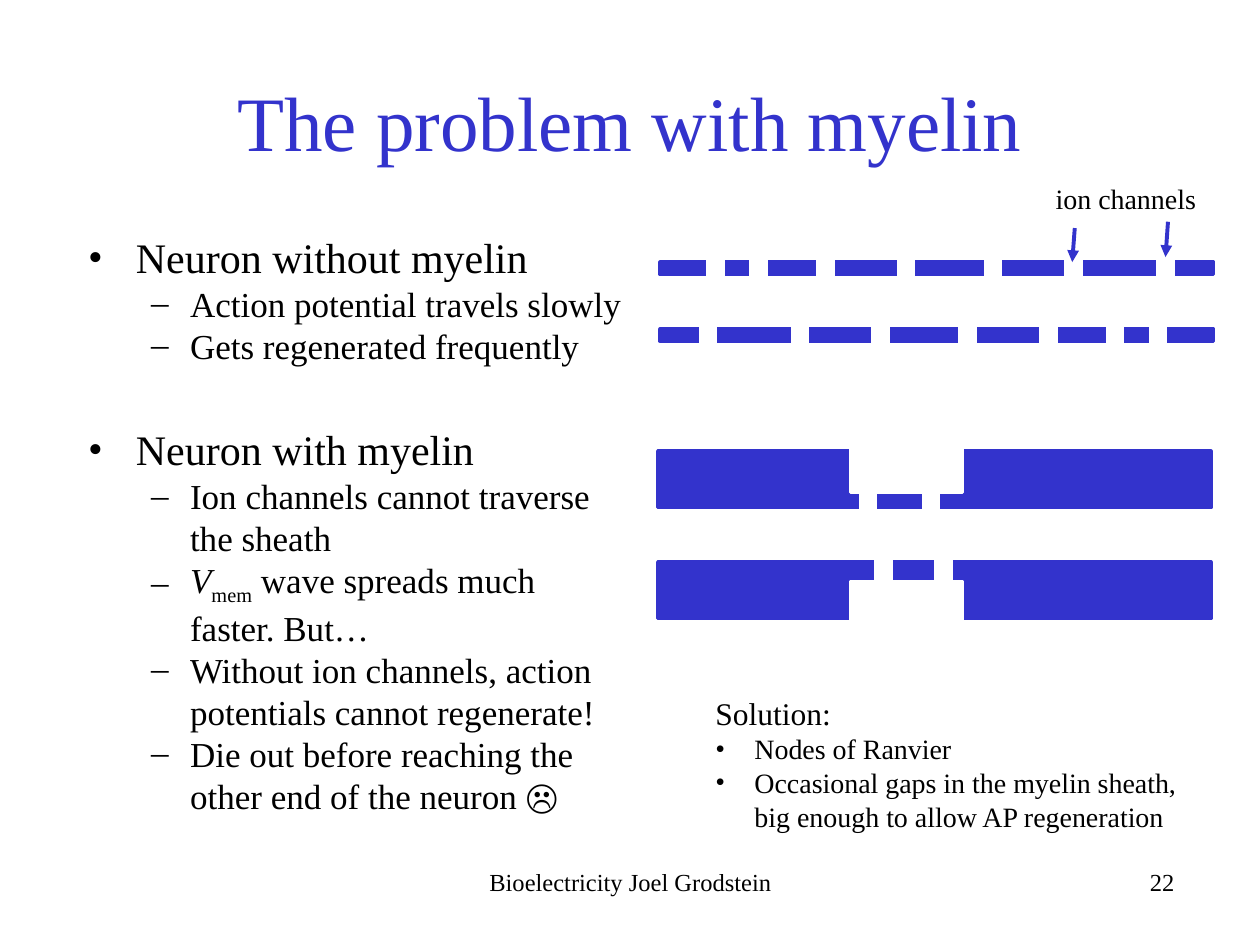
from dataclasses import dataclass

from lxml.etree import SubElement
from pptx import Presentation
from pptx.dml.color import RGBColor as Color
from pptx.enum.shapes import MSO_CONNECTOR as Connector, MSO_SHAPE as Shape
from pptx.enum.text import MSO_ANCHOR as Anchor, PP_ALIGN as Align
from pptx.oxml.ns import qn
from pptx.util import Inches, Pt


@dataclass(frozen=True)
class Theme:
    font: str = "Times New Roman"
    text: Color = Color(0, 0, 0)
    accent: Color = Color(0x33, 0x33, 0xCC)
    paper: Color = Color(255, 255, 255)
    title: int = 44
    heading: int = 24
    point: int = 20
    solution: int = 18
    label: int = 16
    footer: int = 14


THEME = Theme()
COLUMNS, ROWS = 100, 75
WIDTH, HEIGHT = Inches(10), Inches(7.5)
GAP_WIDTH, GAP_HEIGHT = 1.2, 1.9
MEMBRANE_LEFT, MEMBRANE_WIDTH = 52.4, 43.9
SHEATH_LEFT, SHEATH_HEIGHT = 52.2, 4.5
CHANNEL_GAPS = (56.2, 59.6, 64.9, 71.3, 78.2, 84.6, 91.9)


def across(columns):
    return round(WIDTH * columns / COLUMNS)


def down(rows):
    return round(HEIGHT * rows / ROWS)


def place(left, top, width, height):
    return across(left), down(top), across(width), down(height)


def add_text(slide, box, lines, size, align=Align.LEFT, color=THEME.text, anchor=Anchor.TOP):
    frame = slide.shapes.add_textbox(*place(*box)).text_frame
    frame.word_wrap = True
    frame.vertical_anchor = anchor
    frame.text = "\n".join(lines)
    for paragraph in frame.paragraphs:
        paragraph.alignment = align
        style_runs(paragraph, size, color)
    return frame.paragraphs


def style_runs(paragraph, size, color=THEME.text):
    for run in paragraph.runs:
        run.font.name = THEME.font
        run.font.size = Pt(size)
        run.font.color.rgb = color


def set_bullet(paragraph, character, margin, hanging):
    properties = paragraph._p.get_or_add_pPr()
    properties.set("marL", str(Inches(margin)))
    properties.set("indent", str(-Inches(hanging)))
    SubElement(properties, qn("a:buFont")).set("typeface", THEME.font)
    SubElement(properties, qn("a:buChar")).set("char", character)


def add_block(shapes, box, color):
    block = shapes.add_shape(Shape.RECTANGLE, *place(*box))
    block.shadow.inherit = False
    block.fill.solid()
    block.fill.fore_color.rgb = color
    block.line.color.rgb = color
    block.line.width = Pt(2)


def add_gap(shapes, left, top):
    add_block(shapes, (left, top, GAP_WIDTH, GAP_HEIGHT), THEME.paper)


def add_membrane(slide, top, gaps):
    shapes = slide.shapes.add_group_shape().shapes
    add_block(shapes, (MEMBRANE_LEFT, top, MEMBRANE_WIDTH, 1), THEME.accent)
    for left in gaps:
        add_gap(shapes, left, top - 0.45)


def add_myelinated_neuron(slide):
    for top in (35.8, 44.6):
        add_block(slide.shapes, (SHEATH_LEFT, top, MEMBRANE_WIDTH, SHEATH_HEIGHT), THEME.accent)
    node = slide.shapes.add_group_shape().shapes
    for top in (33.8, 46.2):
        add_block(node, (67.5, top, 8.9, 5.3), THEME.paper)
    for left, top in ((68.3, 38.7), (73.3, 38.5), (69.5, 44.4), (74.3, 44.1)):
        add_gap(node, left, top)


def add_arrow(slide, start, end):
    arrow = slide.shapes.add_connector(
        Connector.STRAIGHT, across(start[0]), down(start[1]), across(end[0]), down(end[1]))
    arrow.line.color.rgb = THEME.accent
    arrow.line.width = Pt(2.25)
    SubElement(arrow.line._get_or_add_ln(), qn("a:tailEnd")).set("type", "triangle")
    SubElement(arrow._element.spPr, qn("a:effectLst"))


def add_outline(slide):
    sections = {
        "Neuron without myelin": [
            "Action potential travels slowly",
            "Gets regenerated frequently",
        ],
        "Neuron with myelin": [
            "Ion channels cannot traverse the sheath",
            "Vmem wave spreads much faster. But…",
            "Without ion channels, action potentials cannot regenerate!",
            "Die out before reaching the other end of the neuron ☹",
        ],
    }
    lines = [line for heading, points in sections.items() for line in (heading, *points)]
    paragraphs = add_text(slide, (6, 17.9, 44.8, 46.8), lines, THEME.point)
    for index, paragraph in enumerate(paragraphs):
        if paragraph.text in sections:
            set_heading(paragraph, is_first=index == 0)
        else:
            paragraph.level = 1
            set_bullet(paragraph, "–", 0.81, 0.31)
        if paragraph.text.startswith("Vmem"):
            set_voltage_symbol(paragraph)


def set_heading(paragraph, is_first):
    if not is_first:
        paragraph.space_before = Pt(33)
    set_bullet(paragraph, "•", 0.38, 0.38)
    style_runs(paragraph, THEME.heading)


def set_voltage_symbol(paragraph):
    rest = paragraph.text.removeprefix("Vmem")
    paragraph.text = "V"
    for part in ("mem", rest):
        paragraph.add_run().text = part
    style_runs(paragraph, THEME.point)
    symbol, subscript, _ = paragraph.runs
    symbol.font.italic = True
    subscript.font._element.set("baseline", "-25000")


def add_solution(slide):
    lines = [
        "Solution:",
        "Nodes of Ranvier",
        "Occasional gaps in the myelin sheath, big enough to allow AP regeneration",
    ]
    heading, *points = add_text(slide, (55.8, 54.6, 41, 12.1), lines, THEME.label)
    style_runs(heading, THEME.solution)
    for point in points:
        set_bullet(point, "•", 0.31, 0.31)


def main():
    presentation = Presentation()
    presentation.slide_width, presentation.slide_height = WIDTH, HEIGHT
    slide = presentation.slides.add_slide(presentation.slide_layouts[6])

    add_text(slide, (7.5, 3.3, 85, 12.5), ["The problem with myelin"], THEME.title,
             Align.CENTER, THEME.accent, Anchor.MIDDLE)
    add_outline(slide)

    mirror = 2 * MEMBRANE_LEFT + MEMBRANE_WIDTH - GAP_WIDTH
    add_membrane(slide, 20.8, CHANNEL_GAPS)
    add_membrane(slide, 26.1, [mirror - left for left in CHANNEL_GAPS])
    add_text(slide, (82.8, 13.9, 14.4, 3.7), ["ion channels"], THEME.label)
    add_arrow(slide, (92.7, 17.6), (92.5, 20.4))
    add_arrow(slide, (85.3, 18.1), (85.1, 20.8))
    add_myelinated_neuron(slide)
    add_solution(slide)

    add_text(slide, (34.2, 68.3, 31.7, 3.4), ["Bioelectricity Joel Grodstein"],
             THEME.footer, Align.CENTER)
    add_text(slide, (62.5, 68.3, 31.7, 5), ["22"], THEME.footer, Align.RIGHT)
    presentation.save("out.pptx")


if __name__ == "__main__":
    main()
